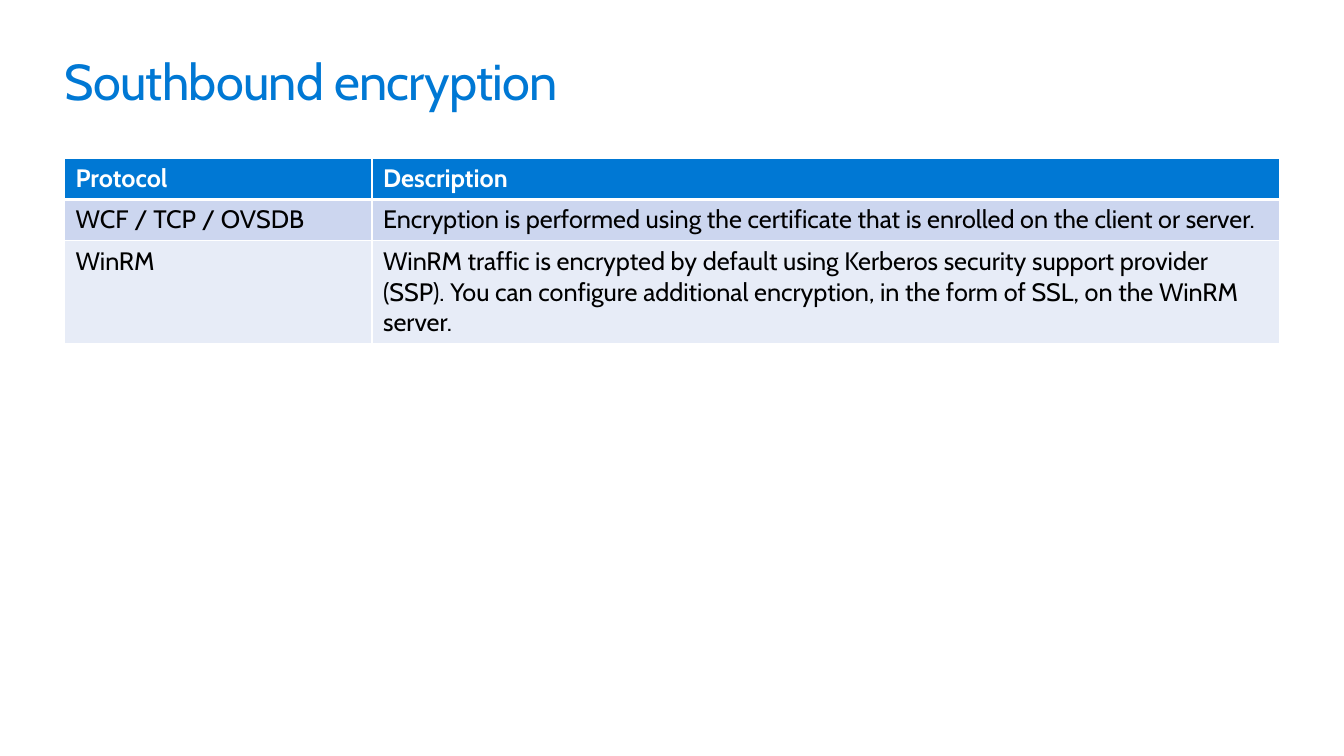
from pptx import Presentation
from pptx.dml.color import RGBColor
from pptx.enum.text import MSO_AUTO_SIZE
from pptx.oxml import parse_xml
from pptx.oxml.ns import nsdecls
from pptx.util import Inches, Pt

FONT = "Cabin"
BLUE = RGBColor(0x00, 0x78, 0xD4)
WHITE = RGBColor(0xFF, 0xFF, 0xFF)
BLACK = RGBColor(0x00, 0x00, 0x00)
BANDS = [RGBColor(0xCC, 0xD6, 0xEF), RGBColor(0xE7, 0xEC, 0xF7)]

SLIDE_WIDTH, SLIDE_HEIGHT = Inches(13.33), Inches(7.5)
MARGIN = Inches(0.64)
CONTENT_WIDTH = Inches(12.05)
PROTOCOL_WIDTH = Inches(3.05)
LINE_ROW, THREE_LINE_ROW = Inches(0.41), Inches(1.02)

HEADINGS = ("Protocol", "Description")
PROTOCOLS = [
    ("WCF / TCP / OVSDB",
     "Encryption is performed using the certificate that is enrolled on the "
     "client or server."),
    ("WinRM",
     "WinRM traffic is encrypted by default using Kerberos security support "
     "provider (SSP). You can configure additional encryption, in the form of "
     "SSL, on the WinRM server."),
]


def style_font(font, size, color, bold=False):
    font.name, font.size, font.bold = FONT, Pt(size), bold
    font.color.rgb = color


def add_title(slide, left, top, width, height, wording):
    title = slide.shapes.add_textbox(left, top, width, height).text_frame
    title.margin_left = title.margin_right = 0
    title.margin_top = title.margin_bottom = 0
    title.word_wrap = True
    title.auto_size = MSO_AUTO_SIZE.SHAPE_TO_FIT_TEXT
    title.text = wording
    run = title.paragraphs[0].runs[0]
    style_font(run.font, 36, BLUE)
    run.font._element.set("spc", "-50")


def add_borders(cell, bottom_points):
    """Draw white lines round a cell, with its own weight below."""
    properties = cell._tc.get_or_add_tcPr()
    for side, points in zip("LRTB", (1, 1, 1, bottom_points)):
        properties.append(parse_xml(
            f'<a:ln{side} {nsdecls("a")} w="{Pt(points)}"><a:solidFill>'
            f'<a:srgbClr val="{WHITE}"/></a:solidFill></a:ln{side}>'))


def fill_cell(cell, wording, fill, color, is_heading):
    add_borders(cell, 3 if is_heading else 1)
    cell.fill.solid()
    cell.fill.fore_color.rgb = fill
    cell.margin_left = cell.margin_right = Inches(0.11)
    cell.margin_top = cell.margin_bottom = Inches(0.05)
    cell.text = wording
    style_font(cell.text_frame.paragraphs[0].runs[0].font, 18, color, is_heading)


def add_protocol_table(slide, left, top, width, row_heights):
    rows = [HEADINGS, *PROTOCOLS]
    table = slide.shapes.add_table(
        len(rows), len(HEADINGS), left, top, width, sum(row_heights)).table
    table.columns[0].width = PROTOCOL_WIDTH
    table.columns[1].width = width - PROTOCOL_WIDTH
    for r, (wordings, height) in enumerate(zip(rows, row_heights)):
        table.rows[r].height = height
        is_heading = r == 0
        fill = BLUE if is_heading else BANDS[(r - 1) % len(BANDS)]
        color = WHITE if is_heading else BLACK
        for c, wording in enumerate(wordings):
            fill_cell(table.cell(r, c), wording, fill, color, is_heading)


def main():
    deck = Presentation()
    deck.slide_width, deck.slide_height = SLIDE_WIDTH, SLIDE_HEIGHT
    slide = deck.slides.add_slide(deck.slide_layouts[6])
    slide.background.fill.solid()
    slide.background.fill.fore_color.rgb = WHITE
    add_title(slide, MARGIN, Inches(0.5), CONTENT_WIDTH, Inches(0.61),
              "Southbound encryption")
    add_protocol_table(slide, MARGIN, Inches(1.57), CONTENT_WIDTH,
                       [LINE_ROW, LINE_ROW, THREE_LINE_ROW])
    deck.save("out.pptx")


if __name__ == "__main__":
    main()
